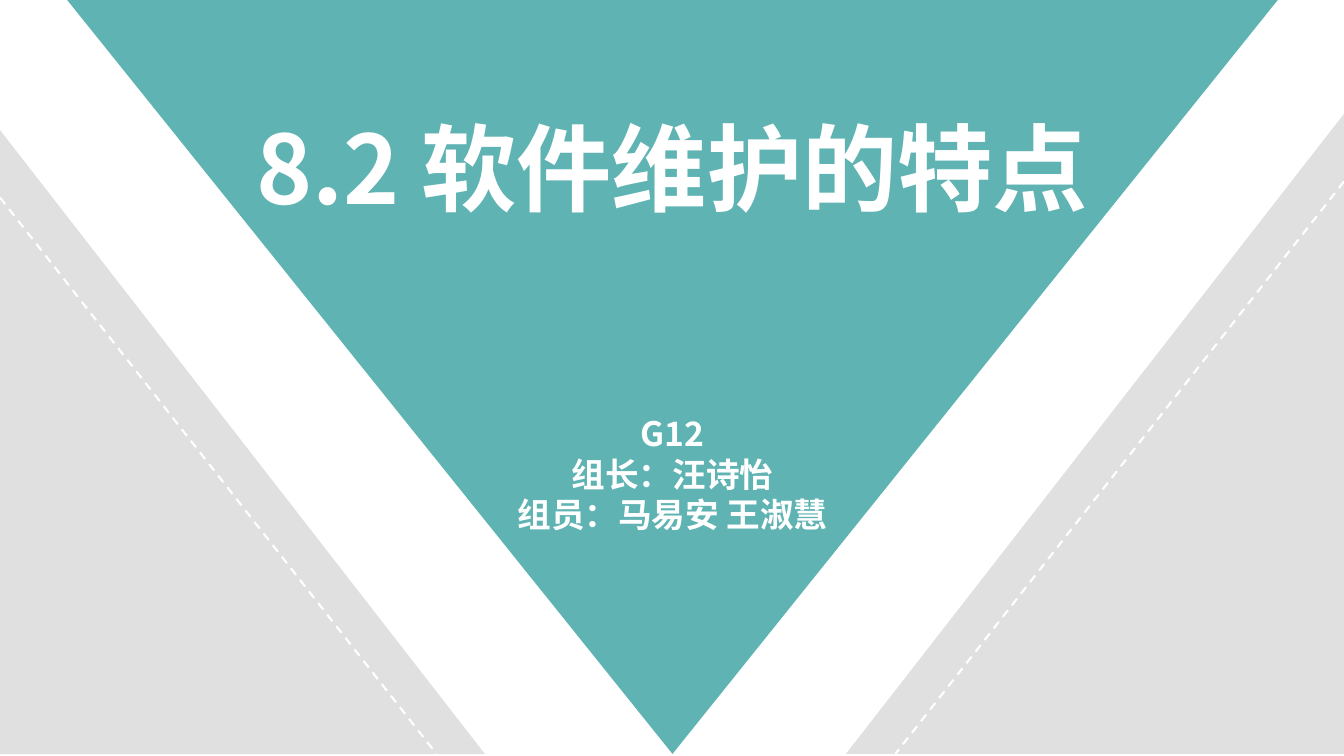
from dataclasses import dataclass

from lxml import etree
from pptx import Presentation
from pptx.dml.color import RGBColor
from pptx.enum.dml import MSO_LINE
from pptx.enum.shapes import MSO_CONNECTOR, MSO_SHAPE
from pptx.enum.text import MSO_ANCHOR, MSO_AUTO_SIZE, PP_ALIGN
from pptx.oxml.ns import qn
from pptx.util import Inches, Pt

DASH = MSO_LINE.DASH
STRAIGHT = MSO_CONNECTOR.STRAIGHT
TRIANGLE = MSO_SHAPE.ISOSCELES_TRIANGLE
CORNER = MSO_SHAPE.RIGHT_TRIANGLE
TOP = MSO_ANCHOR.TOP
NO_FIT = MSO_AUTO_SIZE.NONE
CENTER = PP_ALIGN.CENTER
PAGE_WIDTH, PAGE_HEIGHT = 13.33, 7.5


@dataclass(frozen=True)
class Theme:
    font: str = "Noto Sans CJK SC"
    teal: str = "1C9494"
    grey: str = "D9D9D9"
    white: str = "FFFFFF"
    title_size: int = 68
    team_size: int = 24
    line_height: float = 1.2
    dash_width: float = 1.5


THEME = Theme()


def add_triangle(page, kind, box, color, opacity, flip=None):
    """Add a translucent triangle; flip is None, "flipH" or "flipV"."""
    shape = page.shapes.add_shape(kind, *map(Inches, box))
    shape.shadow.inherit = False
    shape.line.fill.background()
    shape.fill.solid()
    shape.fill.fore_color.rgb = RGBColor.from_string(color)
    tint = shape.element.spPr.find(".//" + qn("a:srgbClr"))
    etree.SubElement(tint, qn("a:alpha")).set("val", str(opacity * 1000))
    if flip:
        shape.element.spPr.find(qn("a:xfrm")).set(flip, "1")


def add_dashes(page, start, end):
    line = page.shapes.add_connector(STRAIGHT, *map(Inches, start + end))
    line.line.color.rgb = RGBColor.from_string(THEME.white)
    line.line.width = Pt(THEME.dash_width)
    line.line.dash_style = DASH
    etree.SubElement(line.element.spPr, qn("a:effectLst"))


def add_wing(page, box, mirrored=False):
    """Fill a bottom corner with a grey triangle and a dashed line inside its slope."""
    left, top, width, height = box
    bottom = top + height
    add_triangle(page, CORNER, box, THEME.grey, 80, "flipH" if mirrored else None)
    outer, inner = (left + width, left + 0.49) if mirrored else (left, left + width - 0.48)
    add_dashes(page, (outer, top + 0.67), (inner, bottom))


def add_backdrop(page, box):
    left, top, width, height = box
    bottom = top + height
    add_triangle(page, TRIANGLE, (left + 0.65, top, 12.04, height), THEME.teal, 70, "flipV")
    add_wing(page, (left + width - 4.94, bottom - 6.35, 4.94, 6.35), mirrored=True)
    add_wing(page, (left, bottom - 6.19, 4.81, 6.19))


def write_text(holder, box, lines, size, color=THEME.white, bold=True):
    holder.left, holder.top, holder.width, holder.height = map(Inches, box)
    frame = holder.text_frame
    frame.auto_size = NO_FIT
    frame.word_wrap = True
    frame.vertical_anchor = TOP
    frame.margin_left = frame.margin_right = Inches(0.13)
    frame.margin_top = frame.margin_bottom = Inches(0.07)
    frame.text = "\n".join(lines)
    for para in frame.paragraphs:
        para.alignment = CENTER
        para.space_before = para.space_after = Pt(0)
        para.line_spacing = Pt(size * THEME.line_height)
        for span in para.runs:
            span.font.name = THEME.font
            span.font.size = Pt(size)
            span.font.bold = bold
            span.font.color.rgb = RGBColor.from_string(color)
            east_asian = etree.Element(qn("a:ea"), typeface=THEME.font)
            span.font._element.find(qn("a:latin")).addnext(east_asian)


def add_cover_text(page, box):
    left, top, width, height = box
    title, team = page.placeholders
    write_text(title, (left, top, width, 1.6), ["8.2 软件维护的特点"], THEME.title_size)
    write_text(team, (left, top + 3.02, width, height - 3.02),
               ["G12", "组长：汪诗怡", "组员：马易安 王淑慧"], THEME.team_size)


def build_cover(deck):
    page = deck.slides.add_slide(deck.slide_layouts[0])
    add_backdrop(page, (0, -0.02, PAGE_WIDTH, PAGE_HEIGHT))
    add_cover_text(page, (1.51, 1.01, 10.32, 4.4))
    for holder in page.placeholders:
        page.shapes._spTree.append(holder.element)


def main():
    deck = Presentation()
    deck.slide_width, deck.slide_height = Inches(PAGE_WIDTH), Inches(PAGE_HEIGHT)
    build_cover(deck)
    deck.save("out.pptx")


if __name__ == "__main__":
    main()
